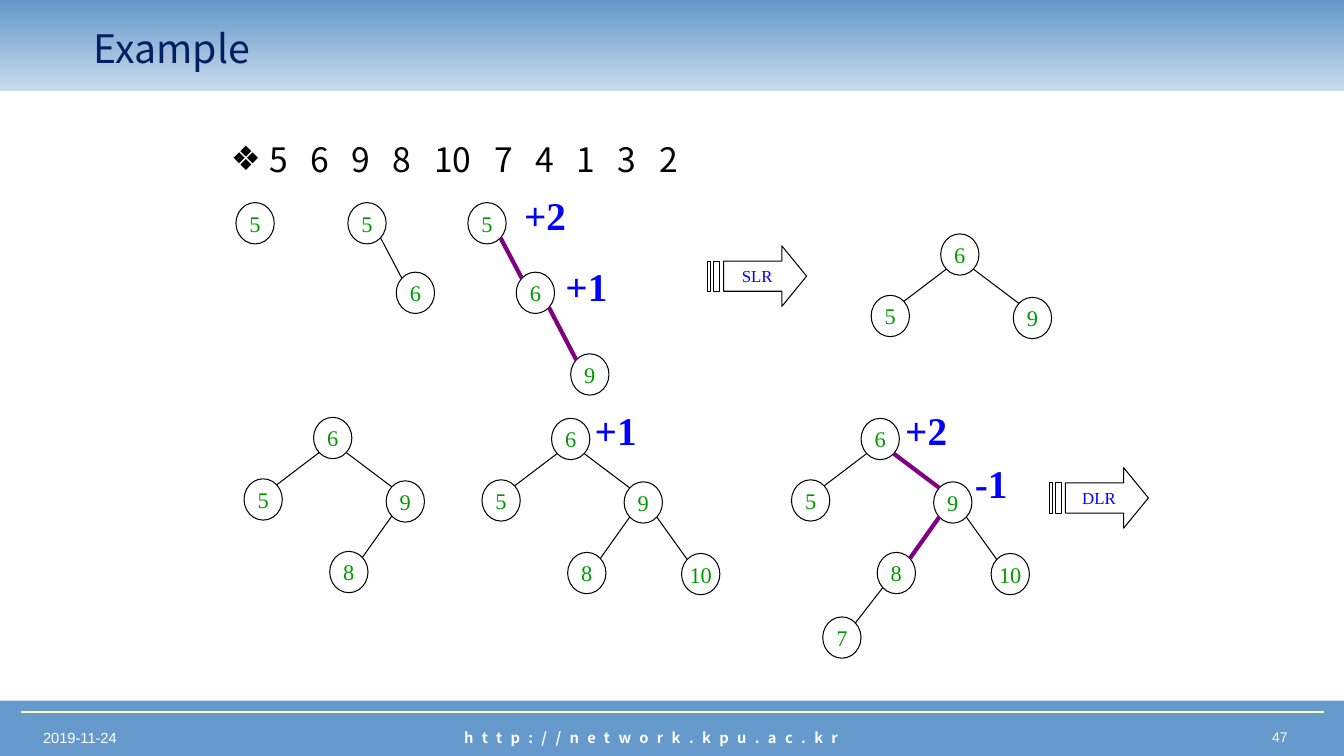
from lxml import etree
from pptx import Presentation
from pptx.dml.color import RGBColor
from pptx.enum.shapes import MSO_CONNECTOR, MSO_SHAPE
from pptx.enum.text import MSO_ANCHOR, MSO_AUTO_SIZE, PP_ALIGN
from pptx.oxml.ns import qn
from pptx.util import Inches, Pt

STRAIGHT = MSO_CONNECTOR.STRAIGHT
RECTANGLE, OVAL = MSO_SHAPE.RECTANGLE, MSO_SHAPE.OVAL
LEFT, CENTER, RIGHT = PP_ALIGN.LEFT, PP_ALIGN.CENTER, PP_ALIGN.RIGHT
TOP, MIDDLE = MSO_ANCHOR.TOP, MSO_ANCHOR.MIDDLE
NO_FIT = MSO_AUTO_SIZE.NONE

BAND = RGBColor(0x66, 0x99, 0xCC)
BAND_DEEP = RGBColor(0x64, 0x97, 0xC9)
BAND_PALE = RGBColor(0xC9, 0xDB, 0xED)
CREAM = RGBColor(0xFF, 0xFF, 0xCC)
WHITE = RGBColor(0xFF, 0xFF, 0xFF)
BLACK = RGBColor(0x00, 0x00, 0x00)
NAVY = RGBColor(0x00, 0x20, 0x60)
GREEN = RGBColor(0x00, 0x99, 0x00)
BLUE = RGBColor(0x00, 0x00, 0xFF)
PURPLE = RGBColor(0x80, 0x00, 0x80)

SANS, SERIF, PLAIN = "Noto Sans CJK KR", "Times New Roman", "Arial"
WIDTH, HEIGHT = 13.33, 7.5
NODE_W, NODE_H = 0.38, 0.41
DIAGONAL = 0.354  # share of a node from its centre to a diagonal rim point

# Node offsets from the root, keyed by the turns that lead to the node
CHAIN = {"": (0, 0), "R": (0.48, 0.69), "RR": (1.02, 1.5)}
BALANCED = {"": (0, 0), "L": (-0.69, 0.61), "R": (0.72, 0.63),
            "RL": (0.16, 1.33), "RR": (1.29, 1.34), "RLL": (-0.38, 1.97)}

# Root position, layout, keys, heavy edges, balance tags (text, dx, dy)
TREES = [
    ((2.34, 2.01), CHAIN, {"": 5}, (), {}),
    ((3.45, 2.01), CHAIN, {"": 5, "R": 6}, (), {}),
    ((4.64, 2.01), CHAIN, {"": 5, "R": 6, "RR": 9}, ("R", "RR"),
     {"": ("+2", 0.46, -0.16), "R": ("+1", 0.39, -0.15)}),
    ((9.33, 2.32), BALANCED, {"": 6, "L": 5, "R": 9}, (), {}),
    ((3.11, 4.14), BALANCED, {"": 6, "L": 5, "R": 9, "RL": 8}, (), {}),
    ((5.47, 4.15), BALANCED, {"": 6, "L": 5, "R": 9, "RL": 8, "RR": 10}, (),
     {"": ("+1", 0.33, -0.17)}),
    ((8.54, 4.15), BALANCED,
     {"": 6, "L": 5, "R": 9, "RL": 8, "RR": 10, "RLL": 7}, ("R", "RL"),
     {"": ("+2", 0.34, -0.17), "R": ("-1", 0.31, -0.27)}),
]
ARROWS = [("SLR", (7.02, 2.44, 0.98, 0.6)), ("DLR", (10.41, 4.64, 0.98, 0.6))]
# Arrow outlines as shares of the arrow's box: head with shaft, then two stripes
ARROW_OUTLINES = [
    [(0.75, 0), (0.75, 0.25), (0.16, 0.25), (0.16, 0.75), (0.75, 0.75),
     (0.75, 1), (1, 0.5)],
    [(0.06, 0.25), (0.06, 0.75), (0.12, 0.75), (0.12, 0.25)],
    [(0, 0.25), (0, 0.75), (0.03, 0.75), (0.03, 0.25)],
]
SEQUENCE = [5, 6, 9, 8, 10, 7, 4, 1, 3, 2]


def inches(values):
    return [Inches(value) for value in values]


def format_font(font, size, face, color, bold=False):
    font.size, font.name, font.bold = Pt(size), face, bold
    font.color.rgb = color


def write(shape, text, size, face, color, align=LEFT, bold=False, inset=None, wrap=True):
    frame = shape.text_frame
    frame.text = text
    frame.word_wrap = wrap
    if inset is not None:
        frame.margin_left = frame.margin_right = Inches(inset)
        frame.margin_top = frame.margin_bottom = Inches(inset)
    para = frame.paragraphs[0]
    para.alignment = align
    format_font(para.runs[0].font, size, face, color, bold)
    return para


def add_line(page, start, end, color, weight):
    line = page.shapes.add_connector(STRAIGHT, *inches((*start, *end)))
    line.line.color.rgb, line.line.width = color, Pt(weight)
    etree.SubElement(line._element.spPr, qn("a:effectLst"))


def add_band(page, box):
    band = page.shapes.add_shape(RECTANGLE, *inches(box))
    band.shadow.inherit = False
    band.line.fill.background()
    return band


def add_header(page, box):
    left, top, width, height = box
    fill = add_band(page, box).fill
    fill.gradient()
    fill.gradient_angle = 90
    for stop, color in zip(fill.gradient_stops, (BAND_PALE, BAND_DEEP)):
        stop.color.rgb = color
    title = page.shapes.title
    title.left, title.top, title.width, title.height = inches(
        (left + 0.83, top + 0.16, 11.25, 0.62))
    write(title, "Example", 28, SANS, NAVY)
    title.text_frame.vertical_anchor = MIDDLE
    title.text_frame.auto_size = NO_FIT
    # The title is stacked above the band
    page.shapes._spTree.append(title._element)


def add_footer(page, box):
    left, top, width, height = box
    fill = add_band(page, box).fill
    fill.solid()
    fill.fore_color.rgb = BAND
    add_line(page, (left + 0.21, top + 0.11), (left + width - 0.2, top + 0.11), CREAM, 1.5)
    parts = [("2019-11-24", 0.33, 3.57, 10.5, PLAIN, LEFT),
             ("http://network.kpu.ac.kr", 3.02, 6.88, 10.5, SANS, CENTER),
             ("47", 9.9, 2.97, 10, PLAIN, RIGHT)]
    for text, offset, span, size, face, align in parts:
        label = page.shapes.add_textbox(*inches((left + offset, top + 0.23, span, 0.28)))
        para = write(label, text, size, face, WHITE, align, bold=align == CENTER)
        if align == CENTER:
            para.runs[0].font._element.set("spc", "600")


def add_sequence(page, box):
    body = page.placeholders[1]
    body.left, body.top, body.width, body.height = inches(box)
    frame = body.text_frame
    frame.vertical_anchor, frame.auto_size = TOP, NO_FIT
    para = frame.paragraphs[0]
    para.space_before = Pt(0)
    para.alignment = LEFT
    properties = para._p.get_or_add_pPr()
    properties.set("marL", str(Inches(0.38)))
    properties.set("indent", str(-Inches(0.38)))
    etree.SubElement(properties, qn("a:buChar")).set("char", "❖")
    for index, key in enumerate(SEQUENCE):
        if index:
            gap = para.add_run()
            gap.text = " "
            format_font(gap.font, 24, SANS, BLACK)
            gap.font._element.set("spc", "1075")
        span = para.add_run()
        span.text = str(key)
        format_font(span.font, 24, SANS, BLACK)


def add_node(page, key, left, top):
    node = page.shapes.add_shape(OVAL, *inches((left, top, NODE_W, NODE_H)))
    node.shadow.inherit = False
    node.fill.background()
    node.line.color.rgb, node.line.width = BLACK, Pt(0.75)
    write(node, str(key), 16, SERIF, GREEN, CENTER, inset=0, wrap=False)
    node.text_frame.vertical_anchor = MIDDLE


def rim_point(corner, across, down):
    return (corner[0] + NODE_W * (0.5 + across * DIAGONAL),
            corner[1] + NODE_H * (0.5 + down * DIAGONAL))


def add_tree(page, root, layout, keys, heavy, tags):
    corners = {turns: (root[0] + layout[turns][0], root[1] + layout[turns][1])
               for turns in keys}
    for turns, key in keys.items():
        add_node(page, key, *corners[turns])
        if turns:
            side = 1 if turns[-1] == "R" else -1
            color, weight = (PURPLE, 3) if turns in heavy else (BLACK, 0.75)
            add_line(page, rim_point(corners[turns[:-1]], side, 1),
                     rim_point(corners[turns], -side, -1), color, weight)
    for turns, (text, across, down) in tags.items():
        left, top = corners[turns]
        width = 0.62 if text[0] == "+" else 0.53
        tag = page.shapes.add_textbox(*inches((left + across, top + down, width, 0.57)))
        write(tag, text, 28, SERIF, BLUE, bold=True, wrap=False)


def add_rotation_arrow(page, text, box):
    left, top, width, height = box
    outlines = [[(Inches(left + x * width), Inches(top + y * height)) for x, y in outline]
                for outline in ARROW_OUTLINES]
    builder = page.shapes.build_freeform(*outlines[0][0])
    for index, outline in enumerate(outlines):
        if index:
            builder.move_to(*outline[0])
        builder.add_line_segments(outline[1:], close=True)
    arrow = builder.convert_to_shape()
    arrow.shadow.inherit = False
    arrow.fill.solid()
    arrow.fill.fore_color.rgb = WHITE
    arrow.line.color.rgb, arrow.line.width = BLACK, Pt(0.75)
    write(arrow, text, 12, SERIF, BLUE, CENTER)
    arrow.text_frame.vertical_anchor = MIDDLE


def main():
    deck = Presentation()
    deck.slide_width, deck.slide_height = inches((WIDTH, HEIGHT))
    page = deck.slides.add_slide(deck.slide_layouts[1])
    add_footer(page, (0, 6.95, WIDTH, 0.55))
    add_header(page, (0, 0, WIDTH, 0.9))
    add_sequence(page, (2.19, 1.33, 9.12, 0.83))
    for tree in TREES:
        add_tree(page, *tree)
    for text, box in ARROWS:
        add_rotation_arrow(page, text, box)
    deck.save("out.pptx")


if __name__ == "__main__":
    main()
